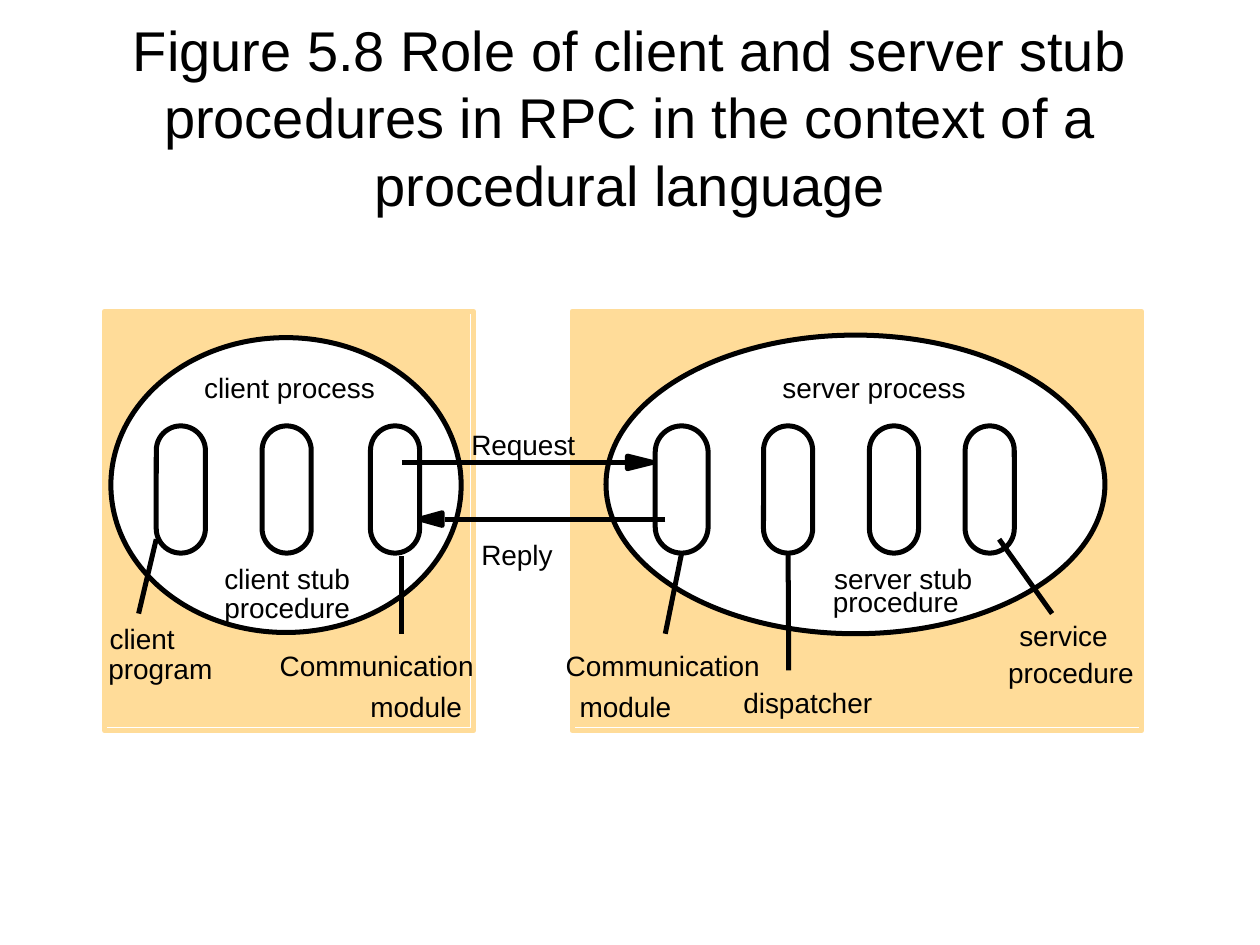
from pptx import Presentation
from pptx import util as u
from pptx.dml.color import RGBColor
from pptx.enum import shapes, text
from pptx.oxml import parse_xml
from pptx.oxml.ns import nsdecls

BLACK = RGBColor(0, 0, 0)
WHITE = RGBColor(255, 255, 255)
SAND = RGBColor(0xFF, 0xDC, 0x99)
STROKE = u.Pt(2.86)
FONT = "Arial"
PILL_TOP, PILL_HEIGHT = 3.38, 1.01

PANELS = [(0.83, 2.9, 2.93), (4.54, 4.5, 4.52)]
PROCESSES = [(4.81, 2.66, 3.96, 2.37), (0.88, 2.68, 2.78, 2.34)]
PILLS = {
    "client program": (1.24, 0.39),
    "client stub": (2.08, 0.39),
    "client communication": (2.94, 0.39),
    "server communication": (5.2, 0.42),
    "dispatcher": (6.06, 0.39),
    "server stub": (6.9, 0.39),
    "service procedure": (7.66, 0.39),
}
POINTERS = [
    (1.1, 4.87, 1.24, 4.28, None),
    (3.19, 5.03, 3.19, 4.41, None),
    (5.28, 5.03, 5.41, 4.39, "server communication"),
    (6.26, 5.32, 6.26, 4.39, "dispatcher"),
    (8.35, 4.87, 7.93, 4.28, None),
]
MESSAGES = [
    (3.19, 4.98, 3.67, 4.98, 5.18),
    (5.28, 3.53, 4.12, 3.51, 3.33),
]
LABELS = [
    ("client process", 1.62, 2.94, 1.42),
    ("server process", 6.21, 2.94, 1.52),
    ("Request", 3.74, 3.39, 0.85),
    ("Reply", 3.82, 4.27, 0.6),
    ("client stub", 1.78, 4.46, 1.05),
    ("procedure", 1.78, 4.69, 1.05),
    ("server stub", 6.62, 4.46, 1.15),
    ("procedure", 6.61, 4.64, 1.05),
    ("client", 0.87, 4.93, 0.6),
    ("program", 0.86, 5.17, 0.89),
    ("Communication", 2.22, 5.15, 1.6),
    ("module", 2.94, 5.47, 0.8),
    ("Communication", 4.49, 5.15, 1.6),
    ("module", 4.6, 5.47, 0.8),
    ("dispatcher", 5.9, 5.44, 1.1),
    ("service", 8.09, 4.91, 0.76),
    ("procedure", 8.0, 5.2, 1.05),
]


def paint(sp, fill, line):
    sp.shadow.inherit = False
    if fill is None:
        sp.fill.background()
    else:
        sp.fill.solid()
        sp.fill.fore_color.rgb = fill
    if line is None:
        sp.line.fill.background()
    else:
        sp.line.color.rgb = line
        sp.line.width = STROKE


def add_preset(s, kind, box, fill=None, line=None):
    sp = s.shapes.add_shape(kind, *map(u.Inches, box))
    paint(sp, fill, line)
    return sp


def add_pill(s, left, width):
    box = (left, PILL_TOP, width, PILL_HEIGHT)
    sp = add_preset(s, shapes.MSO_SHAPE.ROUNDED_RECTANGLE, box, line=BLACK)
    sp.adjustments[0] = 0.5
    return sp


def add_line(s, x1, y1, x2, y2):
    line = s.shapes.add_connector(
        shapes.MSO_CONNECTOR.STRAIGHT, *map(u.Inches, (x1, y1, x2, y2)))
    line.line.color.rgb = BLACK
    line.line.width = STROKE
    line._element.spPr.append(parse_xml(f"<a:effectLst {nsdecls('a')}/>"))
    return line


def add_message(s, start, end, y, base, tip):
    add_line(s, start, y, end, y)
    half = 0.05
    fb = s.shapes.build_freeform(u.Inches(base), u.Inches(y - half))
    corners = [(tip, y), (base, y + half)]
    fb.add_line_segments([(u.Inches(x), u.Inches(v)) for x, v in corners])
    paint(fb.convert_to_shape(), BLACK, BLACK)


def add_text(s, words, box, size):
    sp = s.shapes.add_textbox(*map(u.Inches, box))
    tf = sp.text_frame
    tf.text = words
    tf.word_wrap = True
    font = tf.paragraphs[0].runs[0].font
    font.name, font.size = FONT, u.Pt(size)
    font.color.rgb = BLACK
    return tf


def add_title(s, words):
    tf = add_text(s, words, (0.5, 0.3, 9, 1.25), 32)
    tf.vertical_anchor = text.MSO_ANCHOR.MIDDLE
    tf.paragraphs[0].alignment = text.PP_ALIGN.CENTER


def add_label(s, words, left, top, width):
    tf = add_text(s, words, (left, top, width, 0.27), 16)
    tf.word_wrap = False
    tf.auto_size = text.MSO_AUTO_SIZE.SHAPE_TO_FIT_TEXT
    tf.margin_left = tf.margin_right = tf.margin_top = tf.margin_bottom = 0
    tf.paragraphs[0].alignment = text.PP_ALIGN.LEFT


def main():
    prs = Presentation()
    prs.slide_width, prs.slide_height = u.Inches(10), u.Inches(7.5)
    s = prs.slides.add_slide(prs.slide_layouts[6])
    add_title(s, "Figure 5.8 Role of client and server stub procedures in RPC "
                 "in the context of a procedural language")
    rect = shapes.MSO_SHAPE.RECTANGLE
    for left, width, frame_width in PANELS:
        add_preset(s, rect, (left, 2.47, width, 3.3), fill=SAND)
        add_preset(s, rect, (left, 2.47, frame_width, 3.33), line=SAND)
    for box in PROCESSES:
        add_preset(s, shapes.MSO_SHAPE.OVAL, box, WHITE, BLACK)
    pills = {name: add_pill(s, *place) for name, place in PILLS.items()}
    for *ends, target in POINTERS:
        line = add_line(s, *ends)
        if target:
            line.end_connect(pills[target], 2)
    for message in MESSAGES:
        add_message(s, *message)
    for label in LABELS:
        add_label(s, *label)
    prs.save("out.pptx")


if __name__ == "__main__":
    main()
